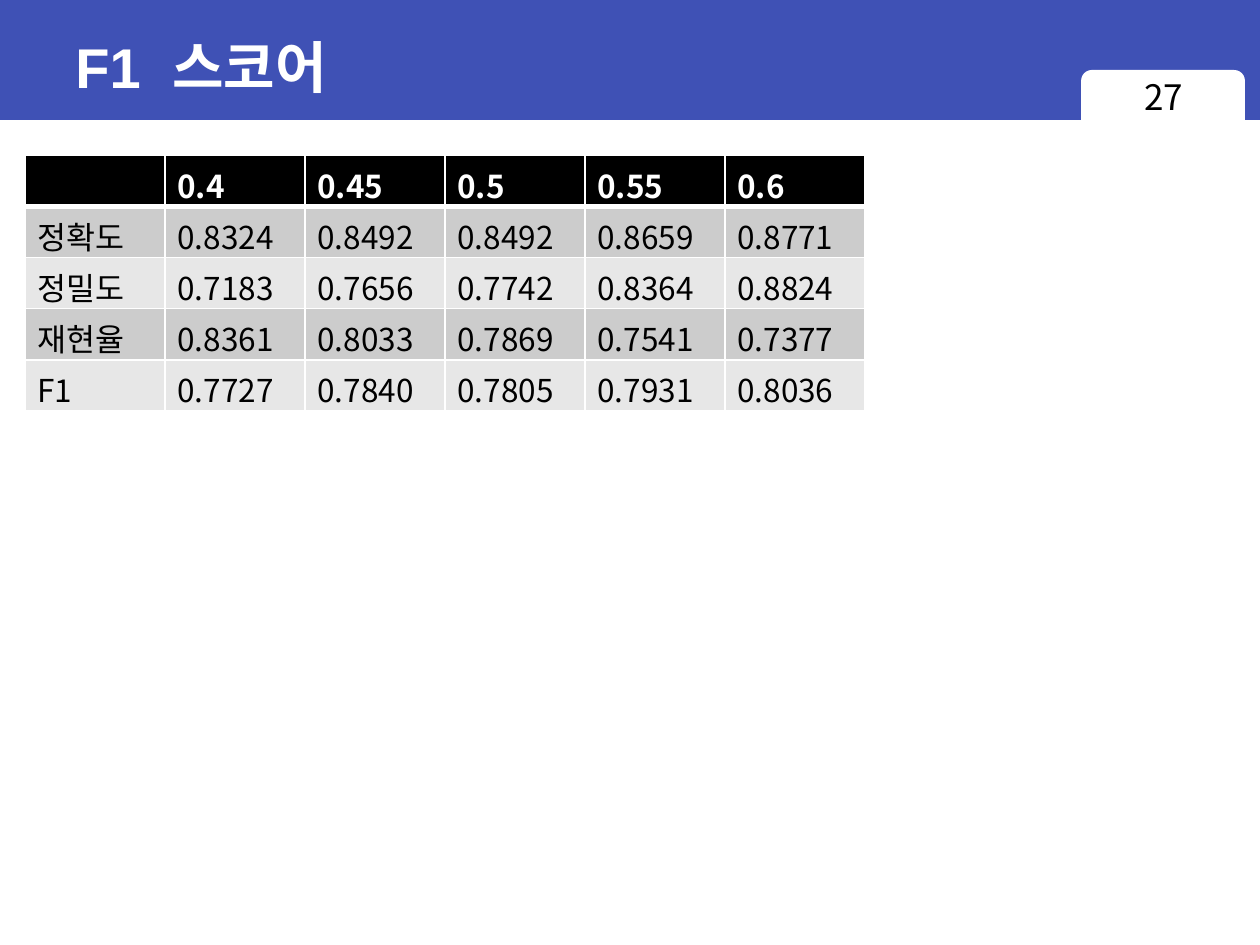
"""Build the F1 score slide with its threshold table."""
from dataclasses import dataclass

from lxml import etree
from pptx import Presentation
from pptx.dml.color import RGBColor
from pptx.enum.shapes import MSO_SHAPE
from pptx.enum.text import MSO_ANCHOR, PP_ALIGN
from pptx.oxml.ns import qn
from pptx.util import Pt

RECTANGLE = MSO_SHAPE.RECTANGLE
ROUNDED = MSO_SHAPE.ROUNDED_RECTANGLE
MIDDLE, TOP = MSO_ANCHOR.MIDDLE, MSO_ANCHOR.TOP
LEFT, CENTER = PP_ALIGN.LEFT, PP_ALIGN.CENTER

KOREAN_FONT = "Noto Sans CJK KR"
WHITE, BLACK, INDIGO = "FFFFFF", "000000", "3F51B5"
BANDS = ("CCCCCC", "E7E7E7")
COLUMN_WIDTH, ROW_HEIGHT = 80, 29.2
SCORES = (
    ("", "0.4", "0.45", "0.5", "0.55", "0.6"),
    ("정확도", "0.8324", "0.8492", "0.8492", "0.8659", "0.8771"),
    ("정밀도", "0.7183", "0.7656", "0.7742", "0.8364", "0.8824"),
    ("재현율", "0.8361", "0.8033", "0.7869", "0.7541", "0.7377"),
    ("F1", "0.7727", "0.7840", "0.7805", "0.7931", "0.8036"),
)


@dataclass
class Frame:
    left: float
    top: float
    width: float
    height: float

    def lengths(self):
        return [Pt(v) for v in (self.left, self.top, self.width, self.height)]


@dataclass
class Style:
    size: float
    color: str = BLACK
    bold: bool = False
    font: str = KOREAN_FONT


@dataclass
class Panel:
    frame: Frame
    preset: int
    color: str


@dataclass
class Label:
    frame: Frame
    spans: tuple
    style: Style
    align: int = LEFT
    anchor: int = TOP


PANELS = (
    Panel(Frame(0, 0, 720, 68.6), RECTANGLE, INDIGO),
    Panel(Frame(617.8, 40, 93.6, 36.7), ROUNDED, WHITE),
)
LABELS = (
    Label(Frame(36, 8, 648, 60), (("F1", 0), (" ", 9), ("스코어", 0)),
          Style(32, WHITE, True, "Arial"), anchor=MIDDLE),
    Label(Frame(617.8, 39.6, 94.3, 37.4), (("27", 0),), Style(20), CENTER),
)


def rgb(color: str) -> RGBColor:
    return RGBColor.from_string(color)


def add_span(para, text: str, style: Style, tracking: float = 0) -> None:
    span = para.add_run()
    span.text = text
    formats = {"size": Pt(style.size), "bold": style.bold, "name": style.font}
    for name, value in formats.items():
        setattr(span.font, name, value)
    span.font.color.rgb = rgb(style.color)
    properties = span._r.get_or_add_rPr()
    etree.SubElement(properties, qn("a:ea"), typeface=KOREAN_FONT)
    if tracking:
        properties.set("spc", str(round(tracking * 100)))


def add_panel(page, panel: Panel) -> None:
    shape = page.shapes.add_shape(panel.preset, *panel.frame.lengths())
    shape.shadow.inherit = False
    shape.fill.solid()
    shape.fill.fore_color.rgb = rgb(panel.color)
    shape.line.fill.background()


def add_label(page, label: Label) -> None:
    box = page.shapes.add_textbox(*label.frame.lengths())
    formats = {"word_wrap": True, "vertical_anchor": label.anchor}
    for name, value in formats.items():
        setattr(box.text_frame, name, value)
    para = box.text_frame.paragraphs[0]
    para.alignment = label.align
    for text, tracking in label.spans:
        add_span(para, text, label.style, tracking)


def add_borders(cell, widths: dict) -> None:
    properties = cell._tc.get_or_add_tcPr()
    for side, width in widths.items():
        line = etree.SubElement(properties, qn(f"a:ln{side}"), w=str(Pt(width)))
        fill = etree.SubElement(line, qn("a:solidFill"))
        etree.SubElement(fill, qn("a:srgbClr"), val=WHITE)


def add_score_table(page, left: float, top: float) -> None:
    row_count, column_count = len(SCORES), len(SCORES[0])
    frame = Frame(left, top, COLUMN_WIDTH * column_count, ROW_HEIGHT * row_count)
    table = page.shapes.add_table(row_count, column_count, *frame.lengths()).table
    table.horz_banding = False
    for row, values in enumerate(SCORES):
        header = row == 0
        style = Style(18, WHITE if header else BLACK, header)
        color = BLACK if header else BANDS[(row - 1) % 2]
        borders = {"L": 1, "R": 1, "T": 3 if row == 1 else 1, "B": 3 if header else 1}
        for column, value in enumerate(values):
            cell = table.cell(row, column)
            add_borders(cell, borders)
            cell.fill.solid()
            cell.fill.fore_color.rgb = rgb(color)
            if value:
                add_span(cell.text_frame.paragraphs[0], value, style)


def main() -> None:
    deck = Presentation()
    deck.slide_width, deck.slide_height = Pt(720), Pt(540)
    page = deck.slides.add_slide(deck.slide_layouts[6])
    for panel in PANELS:
        add_panel(page, panel)
    for label in LABELS:
        add_label(page, label)
    add_score_table(page, 14.2, 88.8)
    deck.save("out.pptx")


if __name__ == "__main__":
    main()
